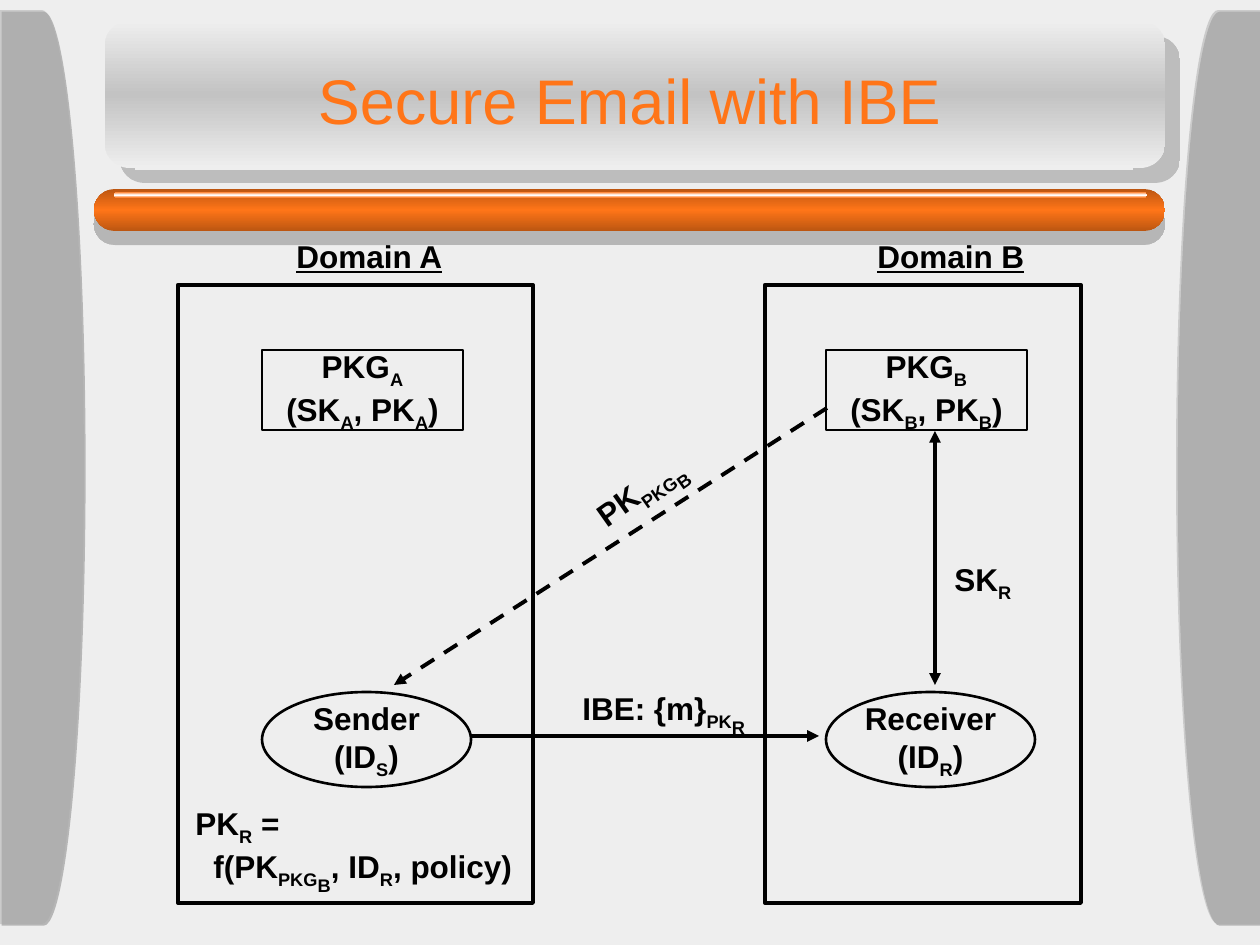
from copy import deepcopy
from dataclasses import dataclass
from typing import Optional

from lxml.etree import SubElement
from pptx import Presentation
from pptx.dml.color import RGBColor
from pptx.enum.dml import MSO_LINE
from pptx.enum.shapes import MSO_CONNECTOR, MSO_SHAPE
from pptx.enum.text import MSO_ANCHOR, MSO_AUTO_SIZE, PP_ALIGN
from pptx.oxml.ns import qn
from pptx.util import Emu, Pt

EMU_PER_PX = 914400 / 126
BLACK, ORANGE, PAPER = "000000", "FF7518", "EEEEEE"
# In a text, "<" and a digit switch the level: 0 normal, 1 subscript, 2 lower subscript
BASELINES = {"0": 0, "1": -25000, "2": -43000}


@dataclass
class Box:
    left: int
    top: int
    width: int
    height: int


@dataclass
class Shadow:
    color: str
    distance: float
    angle: int


@dataclass
class Domain:
    name: str
    frame: Box
    name_left: int
    node_left: int
    node_width: int
    person: str
    identity: str


@dataclass
class Arrow:
    start: tuple[int, int]
    end: tuple[int, int]
    dashed: bool = False
    double: bool = False


def px(value: int) -> Emu:
    return Emu(round(value * EMU_PER_PX))


def rgb(color: str) -> RGBColor:
    return RGBColor.from_string(color)


def place(box: Box) -> tuple:
    return px(box.left), px(box.top), px(box.width), px(box.height)


def write(shape, *lines: str, size: int = 18, color: str = BLACK, bold: bool = True,
          underline: Optional[bool] = None, align=PP_ALIGN.LEFT, anchor=MSO_ANCHOR.TOP,
          wrap: bool = False, grow: bool = False, last_indent: int = 0) -> None:
    frame = shape.text_frame
    frame.word_wrap = wrap
    frame.vertical_anchor = anchor
    frame.auto_size = MSO_AUTO_SIZE.SHAPE_TO_FIT_TEXT if grow else MSO_AUTO_SIZE.NONE
    for index, line in enumerate(lines):
        paragraph = frame.add_paragraph() if index else frame.paragraphs[0]
        paragraph.alignment = align
        if last_indent and index == len(lines) - 1:
            paragraph._p.get_or_add_pPr().set("marL", str(px(last_indent)))
        for part in ("<0" + line).split("<")[1:]:
            run = paragraph.add_run()
            run.text = part[1:]
            font = run.font
            font.name, font.size, font.bold, font.underline = "Arial", Pt(size), bold, underline
            font.color.rgb = rgb(color)
            if part[0] != "0":
                font._element.set("baseline", str(BASELINES[part[0]]))


def add_text(slide, box: Box, *lines: str, **text_format):
    shape = slide.shapes.add_textbox(*place(box))
    write(shape, *lines, **text_format)
    return shape


def add_shape(slide, kind, box: Box, fill: Optional[str] = None, middle: Optional[str] = None,
              alpha: int = 100, line_width: float = 0, shadow: Optional[Shadow] = None,
              rounding: Optional[float] = None):
    """Draw a preset shape; a middle colour makes the fill a vertical gradient."""
    shape = slide.shapes.add_shape(kind, *place(box))
    shape.shadow.inherit = False
    properties = shape._element.spPr
    if rounding is not None:
        shape.adjustments[0] = rounding
    if middle:
        shape.fill.gradient()
        shape.fill.gradient_angle = 90
        edge, center = shape.fill.gradient_stops
        edge.color.rgb, edge.position = rgb(fill), 0
        center.color.rgb, center.position = rgb(middle), 0.5
        stops = properties.find(".//" + qn("a:gsLst"))
        last = deepcopy(stops[0])
        last.set("pos", "100000")
        stops.append(last)
    elif fill:
        shape.fill.solid()
        shape.fill.fore_color.rgb = rgb(fill)
        if alpha < 100:
            color = properties.find(qn("a:solidFill"))[0]
            SubElement(color, qn("a:alpha"), val=str(alpha * 1000))
    else:
        shape.fill.background()
    if line_width:
        shape.line.color.rgb = rgb(BLACK)
        shape.line.width = Pt(line_width)
    else:
        shape.line.fill.background()
    if shadow:
        effect = SubElement(properties.find(qn("a:effectLst")), qn("a:outerShdw"),
                            dist=str(Pt(shadow.distance)), dir=str(shadow.angle * 60000),
                            algn="ctr", rotWithShape="0")
        color = SubElement(effect, qn("a:srgbClr"), val=shadow.color)
        SubElement(color, qn("a:alpha"), val="50000")
    return shape


def add_line(slide, start: tuple[int, int], end: tuple[int, int], color: str = BLACK):
    connector = slide.shapes.add_connector(
        MSO_CONNECTOR.STRAIGHT, *(px(value) for value in (*start, *end)))
    connector.line.color.rgb = rgb(color)
    connector.line.width = Pt(2.25)
    SubElement(connector._element.spPr, qn("a:effectLst"))
    return connector


def add_arrow(slide, arrow: Arrow) -> None:
    connector = add_line(slide, arrow.start, arrow.end)
    if arrow.dashed:
        connector.line.dash_style = MSO_LINE.DASH
    for end in ("a:headEnd", "a:tailEnd") if arrow.double else ("a:tailEnd",):
        SubElement(connector.line._get_or_add_ln(), qn(end), type="triangle")


def add_frame(slide) -> None:
    """Draw the title plate, the orange bar and the side panels."""
    rounded = MSO_SHAPE.ROUNDED_RECTANGLE
    add_shape(slide, rounded, Box(105, 21, 1060, 147), PAPER, "C3C3C3",
              rounding=0.167, shadow=Shadow("8E8E8E", 12.1, 45))
    add_line(slide, (135, 168), (1133, 168), PAPER)
    add_shape(slide, rounded, Box(94, 189, 1071, 42), "BC5611", ORANGE,
              rounding=0.5, shadow=Shadow("808080", 8, 90))
    add_shape(slide, rounded, Box(114, 192, 1033, 6), ORANGE, "FFFFFF", rounding=0.5)
    for left, flipped in ((0, False), (1176, True)):
        panel = add_shape(slide, MSO_SHAPE.FLOWCHART_DELAY, Box(left, 10, 84, 914),
                          "AAAAAA", alpha=50, shadow=Shadow("808080", 1.4, 45))
        if flipped:
            panel._element.spPr.find(qn("a:xfrm")).set("flipH", "1")


def add_domain(slide, domain: Domain) -> None:
    centered = {"align": PP_ALIGN.CENTER, "anchor": MSO_ANCHOR.MIDDLE}
    add_shape(slide, MSO_SHAPE.RECTANGLE, domain.frame, line_width=2.25)
    add_text(slide, Box(domain.name_left, 231, 180, 50), f"Domain {domain.name}",
             underline=True, wrap=True)
    generator = add_shape(slide, MSO_SHAPE.RECTANGLE, Box(domain.node_left, 350, 201, 80),
                          line_width=1.5)
    key = f"<1{domain.name}<0"
    write(generator, f"PKG<1{domain.name}", f"(SK{key}, PK{key})", **centered)
    person = add_shape(slide, MSO_SHAPE.OVAL, Box(domain.node_left, 692, domain.node_width, 95),
                       line_width=1.5)
    write(person, domain.person, f"(ID<1{domain.identity}<0)", **centered)


def main() -> None:
    presentation = Presentation()
    presentation.slide_width, presentation.slide_height = px(1260), px(945)
    slide = presentation.slides.add_slide(presentation.slide_layouts[6])
    slide.background.fill.solid()
    slide.background.fill.fore_color.rgb = rgb(PAPER)
    add_frame(slide)

    # Message and the key it is encrypted with
    add_arrow(slide, Arrow((471, 736), (819, 736)))
    add_text(slide, Box(570, 683, 188, 62), "IBE: {m}<1PK<2R", grow=True)
    formula = add_shape(slide, MSO_SHAPE.RECTANGLE, Box(183, 798, 350, 105), PAPER)
    write(formula, "PK<1R<0 =", "f(PK<1PKG<2B<0, ID<1R<0, policy)", wrap=True, last_indent=18)

    add_text(slide, Box(115, 41, 1029, 116), "Secure Email with IBE", size=36, color=ORANGE,
             bold=False, align=PP_ALIGN.CENTER, anchor=MSO_ANCHOR.MIDDLE, wrap=True)

    for domain in (Domain("A", Box(178, 285, 355, 618), 284, 262, 209, "Sender", "S"),
                   Domain("B", Box(765, 285, 316, 618), 865, 826, 209, "Receiver", "R")):
        add_domain(slide, domain)

    # Key distribution
    add_arrow(slide, Arrow((827, 408), (394, 685), dashed=True))
    public_key = add_text(slide, Box(571, 430, 238, 62), "PK<1PKG<2B", wrap=True, grow=True)
    public_key.rotation = 324.7
    add_arrow(slide, Arrow((935, 685), (935, 431), double=True))
    add_text(slide, Box(942, 554, 82, 55), "SK<1R", grow=True)

    presentation.save("out.pptx")


if __name__ == "__main__":
    main()
